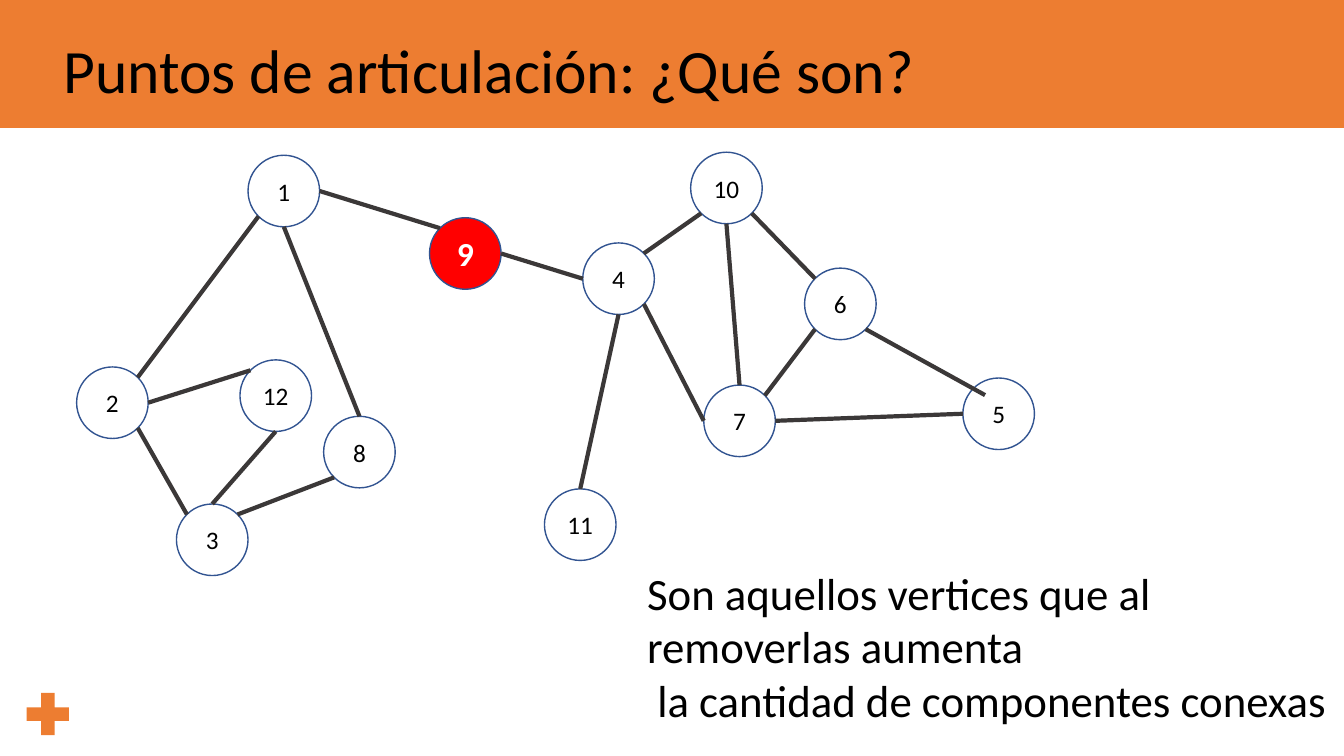
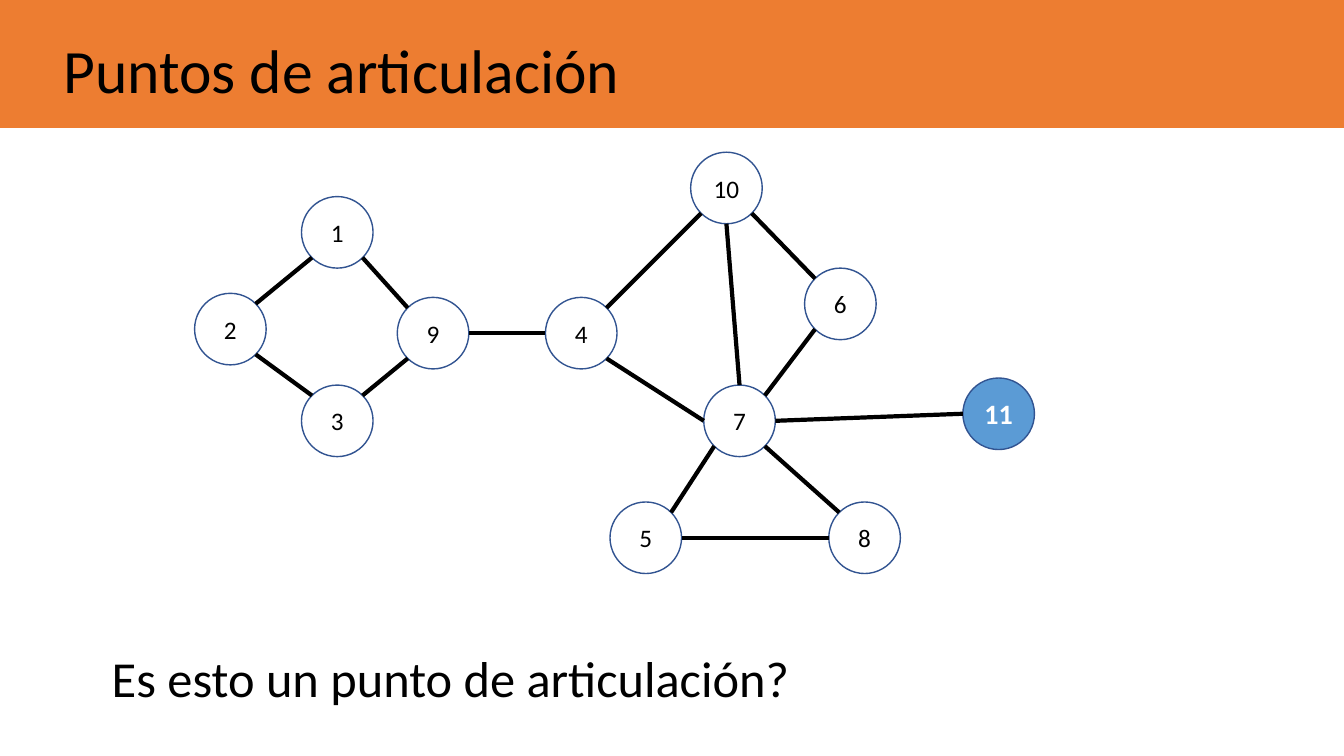
from math import sqrt

from lxml.etree import SubElement
from pptx import Presentation
from pptx.dml.color import RGBColor
from pptx.enum.shapes import MSO_CONNECTOR, MSO_SHAPE
from pptx.enum.text import MSO_ANCHOR, MSO_AUTO_SIZE, PP_ALIGN
from pptx.oxml.ns import qn
from pptx.util import Inches, Pt

FONT = "Calibri"
ORANGE = RGBColor(0xED, 0x7D, 0x31)
RED = RGBColor(0xFF, 0x00, 0x00)
BLUE = RGBColor(0x5B, 0x9B, 0xD5)
NODE_LINE = RGBColor(0x32, 0x54, 0x91)
GRAY = RGBColor(0x3B, 0x38, 0x38)
BLACK = RGBColor(0x00, 0x00, 0x00)
WHITE = RGBColor(0xFF, 0xFF, 0xFF)

SLIDE_WIDTH, SLIDE_HEIGHT = 13.33, 7.5
BAND_HEIGHT = 1.27
DIAMETER = 0.71
DIAGONAL = 1 / sqrt(2)

# Unit vectors from a node's centre to the points where edges meet its rim
RIM = {
    "n": (0, -1), "s": (0, 1), "w": (-1, 0), "e": (1, 0),
    "nw": (-DIAGONAL, -DIAGONAL), "ne": (DIAGONAL, -DIAGONAL),
    "sw": (-DIAGONAL, DIAGONAL), "se": (DIAGONAL, DIAGONAL),
}

# Left and top of each node, by its number
SHARED_NODES = {10: (6.85, 1.51), 7: (6.98, 3.82), 6: (7.98, 2.66)}
DEFINITION_NODES = SHARED_NODES | {
    1: (2.46, 1.54), 2: (0.76, 3.64), 3: (1.75, 5), 9: (4.26, 2.16),
    4: (5.78, 2.41), 11: (5.4, 4.85), 5: (9.55, 3.75), 8: (3.21, 4.13),
    12: (2.38, 3.57),
}
QUESTION_NODES = SHARED_NODES | {
    1: (2.99, 1.95), 2: (1.93, 2.91), 3: (2.99, 3.82), 9: (3.94, 2.95),
    4: (5.41, 2.95), 5: (6.05, 4.98), 8: (8.22, 4.98), 11: (9.55, 3.75),
}

# Each edge: node and rim point where it starts, node and rim point where it ends
SHARED_EDGES = [
    (10, "sw", 4, "ne"), (10, "se", 6, "nw"), (7, "ne", 6, "sw"),
    (7, "w", 4, "se"), (10, "s", 7, "n"), (4, "w", 9, "e"),
    (2, "ne", 1, "sw"), (2, "se", 3, "nw"),
]
DEFINITION_EDGES = SHARED_EDGES + [
    (8, "sw", 3, "ne"), (4, "s", 11, "n"), (7, "e", 5, "w"),
    (8, "n", 1, "s"), (3, "n", 12, "s"), (2, "e", 12, "nw"),
    (9, "nw", 1, "e"),
]
QUESTION_EDGES = SHARED_EDGES + [
    (9, "sw", 3, "ne"), (9, "nw", 1, "se"), (7, "sw", 5, "ne"),
    (8, "w", 5, "e"), (7, "se", 8, "nw"), (7, "e", 11, "w"),
]


def add_text(paragraph, text, size, color=BLACK, bold=False):
    run = paragraph.add_run()
    run.text = text
    run.font.name = FONT
    run.font.size = Pt(size)
    run.font.bold = bold
    run.font.color.rgb = color


def add_plain_shape(slide, preset, left, top, width, height, fill):
    """Adds a shape without outline or shadow."""
    shape = slide.shapes.add_shape(
        preset, Inches(left), Inches(top), Inches(width), Inches(height))
    shape.shadow.inherit = False
    shape.line.fill.background()
    shape.fill.solid()
    shape.fill.fore_color.rgb = fill
    return shape


def add_titled_slide(presentation, title_text):
    """Adds a slide with the orange band behind its title."""
    slide = presentation.slides.add_slide(presentation.slide_layouts[5])
    title = slide.shapes.title
    band = add_plain_shape(
        slide, MSO_SHAPE.RECTANGLE, 0, 0, SLIDE_WIDTH, BAND_HEIGHT, ORANGE)
    title.element.addprevious(band.element)
    title.left, title.top = Inches(0.53), Inches(0.27)
    title.width, title.height = Inches(12), Inches(0.84)
    frame = title.text_frame
    frame.auto_size = MSO_AUTO_SIZE.NONE
    frame.vertical_anchor = MSO_ANCHOR.TOP
    frame.paragraphs[0].alignment = PP_ALIGN.LEFT
    add_text(frame.paragraphs[0], title_text, 44)
    return slide


def add_node(slide, number, position, highlight=None):
    """Adds a numbered circle; highlight is a fill colour and a text size."""
    left, top = position
    node = slide.shapes.add_shape(
        MSO_SHAPE.OVAL, Inches(left), Inches(top),
        Inches(DIAMETER), Inches(DIAMETER))
    node.shadow.inherit = False
    node.line.color.rgb = NODE_LINE
    node.line.width = Pt(1)
    frame = node.text_frame
    frame.word_wrap = False
    frame.vertical_anchor = MSO_ANCHOR.MIDDLE
    paragraph = frame.paragraphs[0]
    paragraph.alignment = PP_ALIGN.CENTER
    if highlight:
        fill, size = highlight
        node.fill.solid()
        node.fill.fore_color.rgb = fill
        add_text(paragraph, str(number), size, WHITE, bold=True)
    else:
        node.fill.background()
        add_text(paragraph, str(number), 18)


def rim_point(position, direction):
    radius = DIAMETER / 2
    return tuple(corner + radius * (1 + step)
                 for corner, step in zip(position, RIM[direction]))


def add_edge(slide, start, end, color):
    edge = slide.shapes.add_connector(
        MSO_CONNECTOR.STRAIGHT, *(Inches(value) for value in (*start, *end)))
    edge.line.color.rgb = color
    edge.line.width = Pt(3)
    SubElement(edge.element.spPr, qn("a:effectLst"))


def add_graph(slide, nodes, edges, edge_color, highlights):
    for number, position in nodes.items():
        add_node(slide, number, position, highlights.get(number))
    for first, first_side, second, second_side in edges:
        add_edge(slide, rim_point(nodes[first], first_side),
                 rim_point(nodes[second], second_side), edge_color)


def add_caption(slide, left, top, width, height, lines, size):
    box = slide.shapes.add_textbox(
        Inches(left), Inches(top), Inches(width), Inches(height))
    frame = box.text_frame
    frame.word_wrap = False
    for index, line in enumerate(lines):
        paragraph = frame.add_paragraph() if index else frame.paragraphs[0]
        add_text(paragraph, line, size)


def add_definition_slide(presentation):
    slide = add_titled_slide(presentation, "Puntos de articulación: ¿Qué son?")
    add_graph(slide, DEFINITION_NODES, DEFINITION_EDGES, GRAY, {9: (RED, 24)})
    # This edge ends a little inside node 5
    add_edge(slide, rim_point(DEFINITION_NODES[6], "se"), (9.77, 3.92), GRAY)
    add_caption(slide, 6.32, 5.56, 7.01, 1.72, [
        "Son aquellos vertices que al",
        "removerlas aumenta",
        " la cantidad de componentes conexas",
    ], 32)
    add_plain_shape(slide, MSO_SHAPE.MATH_PLUS, 0.19, 6.8, 0.57, 0.57, ORANGE)


def add_question_slide(presentation):
    slide = add_titled_slide(presentation, "Puntos de articulación")
    add_graph(slide, QUESTION_NODES, QUESTION_EDGES, BLACK, {11: (BLUE, 20)})
    add_caption(slide, 1.01, 6.37, 6.99, 0.71,
                ["Es esto un punto de articulación?"], 36)


def main():
    presentation = Presentation()
    presentation.slide_width = Inches(SLIDE_WIDTH)
    presentation.slide_height = Inches(SLIDE_HEIGHT)
    add_definition_slide(presentation)
    add_question_slide(presentation)
    presentation.save("out.pptx")


if __name__ == "__main__":
    main()
